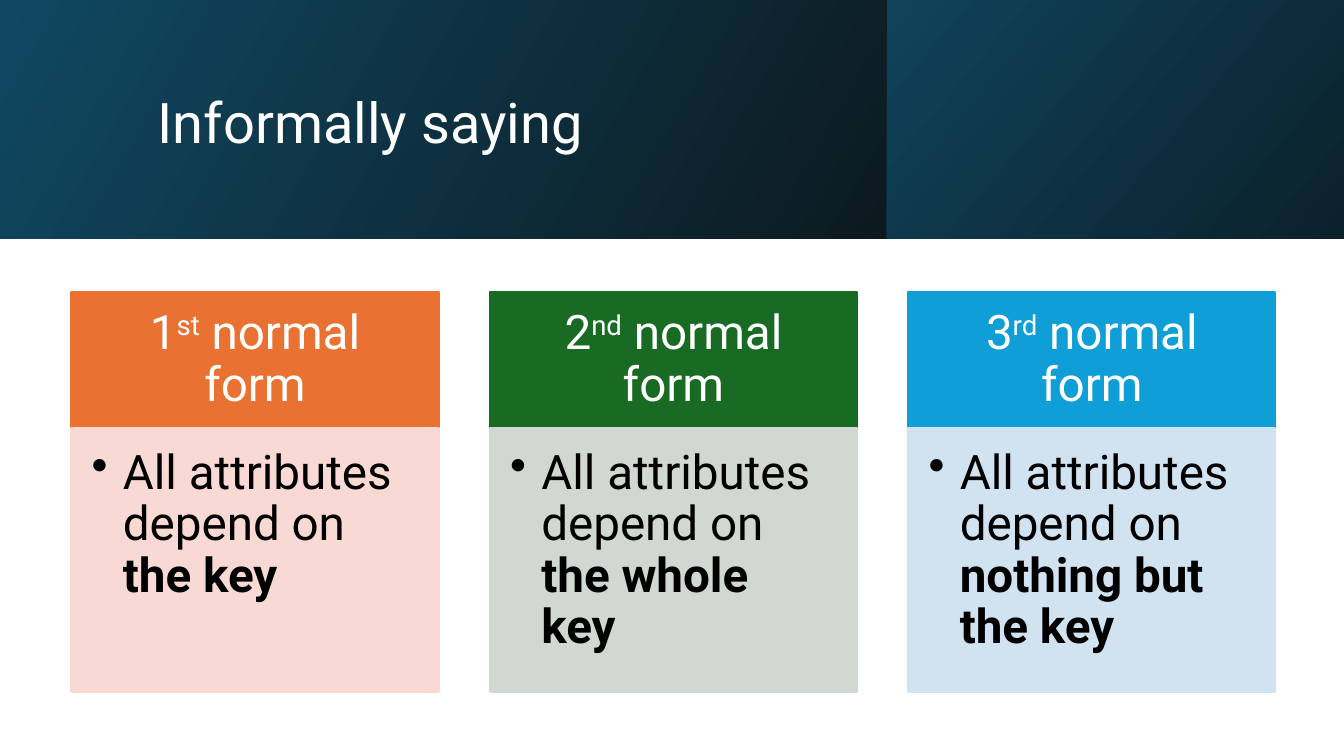
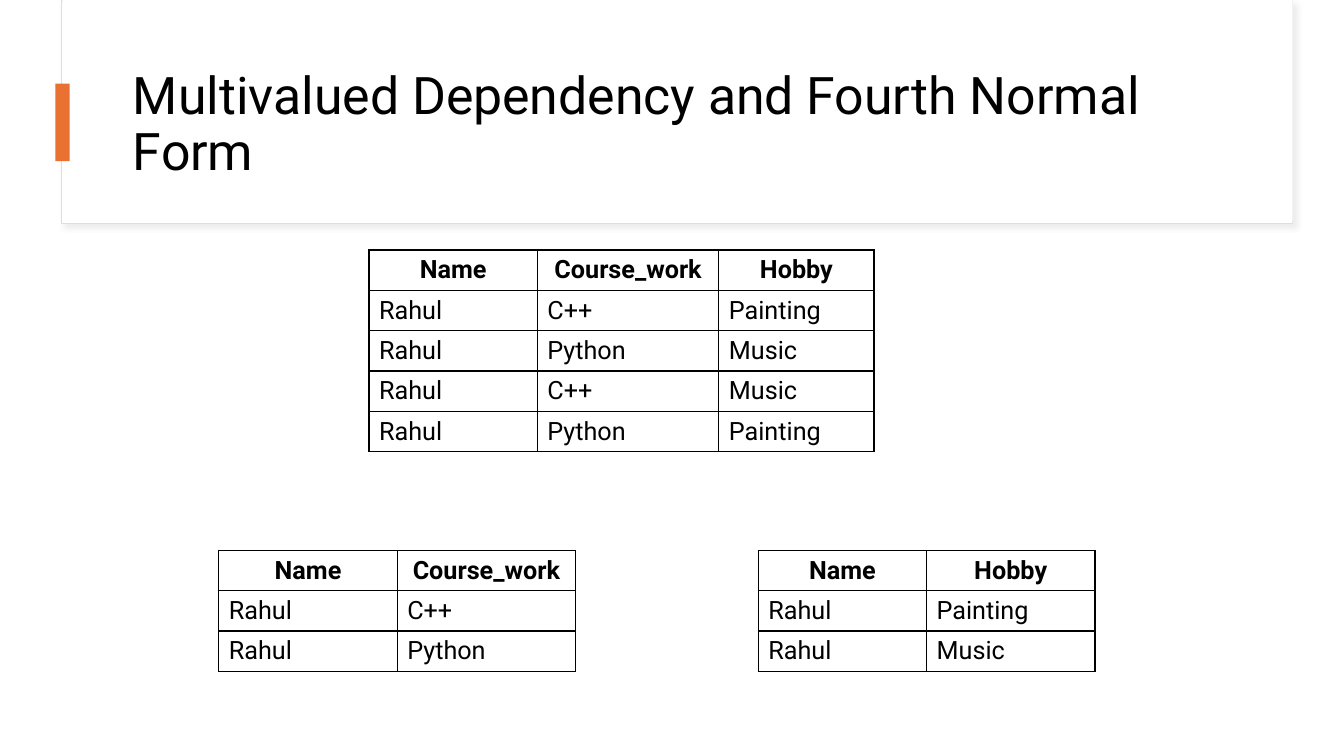
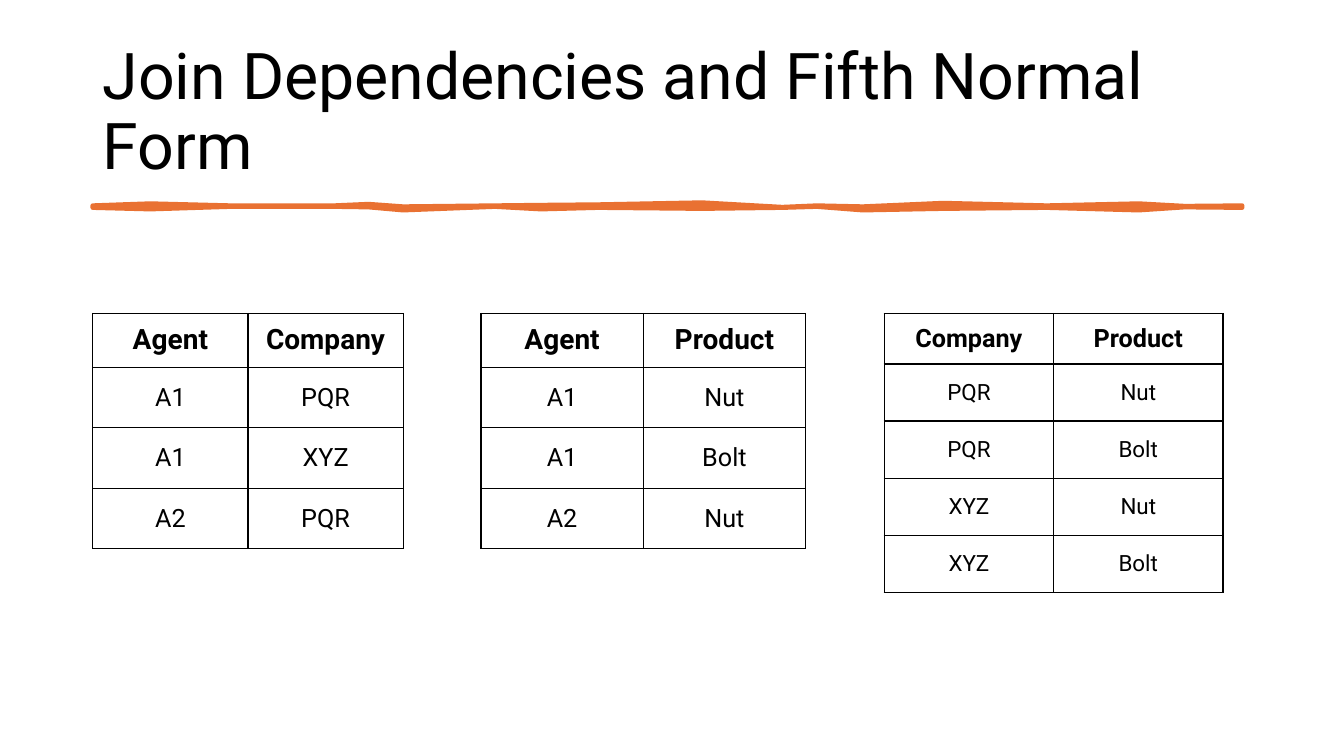
import collections

import pptx
import pptx.dml.color
import pptx.enum.shapes
import pptx.enum.text
import pptx.oxml
import pptx.oxml.ns
import pptx.util
from lxml import etree

Box = collections.namedtuple("Box", "left top width height")

SLIDE = Box(0, 0, 13.33, 7.5)
FONT = "Roboto"
BLACK, WHITE = "000000", "FFFFFF"
ORANGE, GREEN, BLUE = "E97132", "196B24", "0F9ED5"
TEXT_INSETS = (0.1, 0.05, 0.1, 0.05)
MIDDLE = pptx.enum.text.MSO_ANCHOR.MIDDLE
TOP = pptx.enum.text.MSO_ANCHOR.TOP
LEFT = pptx.enum.text.PP_ALIGN.LEFT
CENTER = pptx.enum.text.PP_ALIGN.CENTER


# Shared helpers
def color(value):
    return pptx.dml.color.RGBColor.from_string(value)


def inches(*lengths):
    return [pptx.util.Inches(length) for length in lengths]


def share(box, left, top, width, height):
    """Box placed inside another one by shares of its size."""
    return Box(box.left + left * box.width, box.top + top * box.height,
               width * box.width, height * box.height)


def columns(box, count, gap):
    width = (box.width - gap * (count - 1)) / count
    return [Box(box.left + i * (width + gap), box.top, width, box.height)
            for i in range(count)]


def add_element(parent, tag, **attributes):
    return etree.SubElement(parent, pptx.oxml.ns.qn(tag), attributes)


def add_rectangle(slide, box, fill, line=None, line_width=0.75):
    shape = slide.shapes.add_shape(
        pptx.enum.shapes.MSO_SHAPE.RECTANGLE, *inches(*box))
    shape.shadow.inherit = False
    paint(shape, fill, line, line_width)
    return shape


def paint(shape, fill, line=None, line_width=0.75):
    shape.fill.solid()
    shape.fill.fore_color.rgb = color(fill)
    if line:
        shape.line.color.rgb = color(line)
        shape.line.width = pptx.util.Pt(line_width)
    else:
        shape.line.fill.background()


def prepare_frame(frame, insets, anchor):
    frame.word_wrap = True
    frame.vertical_anchor = anchor
    (frame.margin_left, frame.margin_top,
     frame.margin_right, frame.margin_bottom) = inches(*insets)


def add_run(paragraph, text, size, text_color=BLACK, bold=False, raised=False):
    run = paragraph.add_run()
    run.text = text
    run.font.name = FONT
    run.font.size = pptx.util.Pt(size)
    run.font.bold = bold
    run.font.color.rgb = color(text_color)
    if raised:
        run.font._element.set("baseline", "30000")


def add_title(slide, box, text, size, text_color=BLACK):
    frame = slide.shapes.add_textbox(*inches(*box)).text_frame
    prepare_frame(frame, TEXT_INSETS, MIDDLE)
    paragraph = frame.paragraphs[0]
    paragraph.line_spacing = 0.9
    add_run(paragraph, text, size, text_color)


def add_slide(presentation):
    return presentation.slides.add_slide(presentation.slide_layouts[6])


# Tables
def outline_cell(cell):
    cell.fill.background()
    properties = cell._tc.get_or_add_tcPr()
    for position, side in enumerate(("a:lnL", "a:lnR", "a:lnT", "a:lnB")):
        line = add_element(properties, side, w="12700")
        fill = add_element(line, "a:solidFill")
        add_element(fill, "a:srgbClr", val=BLACK)
        properties.insert(position, line)


def add_grid(slide, left, top, widths, heights, rows, sizes,
             body_align=LEFT, insets=(TEXT_INSETS, TEXT_INSETS)):
    """Table with a bold header; heights, sizes and insets are (header, body)."""
    row_heights = [heights[0]] + [heights[1]] * (len(rows) - 1)
    box = Box(left, top, sum(widths), sum(row_heights))
    table = slide.shapes.add_table(len(rows), len(widths), *inches(*box)).table
    table.first_row = table.horz_banding = False
    for column, width in zip(table.columns, inches(*widths)):
        column.width = width
    for index, (row, height) in enumerate(zip(table.rows, inches(*row_heights))):
        row.height = height
        part = min(index, 1)
        for cell, text in zip(row.cells, rows[index]):
            outline_cell(cell)
            cell.vertical_anchor = MIDDLE
            (cell.margin_left, cell.margin_top,
             cell.margin_right, cell.margin_bottom) = inches(*insets[part])
            paragraph = cell.text_frame.paragraphs[0]
            paragraph.alignment = body_align if part else CENTER
            add_run(paragraph, text, sizes[part], bold=not part)


# Slide 1: gradient band and three cards
def add_gradient(slide, box, start, end, angle):
    shape = add_rectangle(slide, box, start)
    shape.fill.gradient()
    shape.fill.gradient_angle = angle
    for stop, position, value in zip(shape.fill.gradient_stops, (0, 1), (start, end)):
        stop.position = position
        stop.color.rgb = color(value)


def add_title_band(slide, box, title):
    add_gradient(slide, share(box, 0, 0, 0.66, 1), "104862", "0C1A20", 330)
    add_gradient(slide, share(box, 0.66, 0, 0.34, 1), "10435A", "0B212C", 320)
    add_title(slide, share(box, 0.11, 0.16, 0.8, 0.73), title, 40, WHITE)


def add_card(slide, box, number, suffix, ending, accent, tint):
    header_box = share(box, 0, 0, 1, 0.34)
    header = add_rectangle(slide, header_box, accent, accent, 1.5)
    prepare_frame(header.text_frame, (0.26, 0.15, 0.26, 0.15), MIDDLE)
    paragraph = header.text_frame.paragraphs[0]
    paragraph.alignment = CENTER
    paragraph.line_spacing = 0.9
    add_run(paragraph, number, 34, WHITE)
    add_run(paragraph, suffix, 34, WHITE, raised=True)
    add_run(paragraph, " normal form", 34, WHITE)

    body = add_rectangle(slide, share(box, 0, 0.34, 1, 0.66), tint, tint, 1.5)
    prepare_frame(body.text_frame, (0.2, 0.2, 0.26, 0.3), TOP)
    paragraph = body.text_frame.paragraphs[0]
    paragraph.alignment = LEFT
    paragraph.line_spacing = 0.9
    properties = paragraph._p.get_or_add_pPr()
    indent = pptx.util.Inches(0.31)
    properties.set("marL", str(indent))
    properties.set("indent", str(-indent))
    add_element(properties, "a:buChar", char="•")
    add_run(paragraph, "All attributes depend on ", 34)
    add_run(paragraph, ending, 34, bold=True)


def build_summary(presentation):
    slide = add_slide(presentation)
    add_title_band(slide, Box(0, 0, SLIDE.width, 2.37), "Informally saying")
    cards = [
        ("1", "st", "the key", ORANGE, "F8D9D3"),
        ("2", "nd", "the whole key", GREEN, "D1D8D2"),
        ("3", "rd", "nothing but the key", BLUE, "D1E2F1"),
    ]
    card_area = Box(0.71, 2.9, 11.94, 3.96)
    for box, card in zip(columns(card_area, len(cards), 0.51), cards):
        add_card(slide, box, *card)


# Slide 2: framed title and decomposed table
def add_title_panel(slide, box, title):
    frame = add_rectangle(slide, box, WHITE, "DEDEDE")
    effects = frame._element.spPr.find(pptx.oxml.ns.qn("a:effectLst"))
    shadow = add_element(effects, "a:outerShdw", blurRad="50800", dist="38100",
                         dir="2700000", algn="tl", rotWithShape="0")
    shade = add_element(shadow, "a:srgbClr", val="D9D9D9")
    add_element(shade, "a:alpha", val="50000")
    add_rectangle(slide, Box(box.left + 0.01, 0, box.width - 0.01, 2.2), WHITE)
    add_title(slide, share(box, 0.05, 0.27, 0.91, 0.58), title, 37)
    add_rectangle(slide, Box(box.left - 0.06, 0.83, 0.14, 0.77), ORANGE)


def build_fourth_form(presentation):
    slide = add_slide(presentation)
    add_title_panel(slide, Box(0.61, 0.01, 12.21, 2.21),
                    "Multivalued Dependency and Fourth Normal Form")
    tables = [
        (3.66, 2.48, (1.67, 1.8, 1.54), [
            ("Name", "Course_work", "Hobby"),
            ("Rahul", "C++", "Painting"),
            ("Rahul", "Python", "Music"),
            ("Rahul", "C++", "Music"),
            ("Rahul", "Python", "Painting")]),
        (2.17, 5.46, (1.77, 1.77), [
            ("Name", "Course_work"), ("Rahul", "C++"), ("Rahul", "Python")]),
        (7.52, 5.46, (1.67, 1.67), [
            ("Name", "Hobby"), ("Rahul", "Painting"), ("Rahul", "Music")]),
    ]
    for left, top, widths, rows in tables:
        add_grid(slide, left, top, widths, (0.39, 0.39), rows, (18, 18))


# Slide 3: hand-drawn rule and three tables
def add_brush_rule(slide, box):
    # Share of the width, then top and bottom edges as shares of the height
    profile = [
        (0, 0.4, 0.6), (0.05, 0.2, 0.75), (0.12, 0.4, 0.5), (0.21, 0.4, 0.5),
        (0.24, 0.25, 0.55), (0.27, 0.5, 0.85), (0.35, 0.4, 0.5),
        (0.39, 0.35, 0.75), (0.44, 0.3, 0.6), (0.53, 0.1, 0.7),
        (0.6, 0.55, 0.6), (0.63, 0.4, 0.5), (0.67, 0.5, 0.85),
        (0.74, 0.15, 0.7), (0.83, 0.4, 0.6), (0.91, 0.2, 0.85),
        (0.95, 0.45, 0.55), (1, 0.4, 0.6)]
    upper = [(x, top) for x, top, bottom in profile]
    lower = [(x, bottom) for x, top, bottom in reversed(profile)]
    points = [inches(box.left + x * box.width, box.top + y * box.height)
              for x, y in upper + lower]
    builder = slide.shapes.build_freeform(*points[0])
    builder.add_line_segments(points[1:], close=True)
    shape = builder.convert_to_shape()
    shape.shadow.inherit = False
    paint(shape, ORANGE, ORANGE, 3.25)
    add_element(shape.line._get_or_add_ln(), "a:round")


def build_fifth_form(presentation):
    slide = add_slide(presentation)
    add_title(slide, Box(0.92, 0.4, 11.5, 1.45),
              "Join Dependencies and Fifth Normal Form", 46)
    add_brush_rule(slide, Box(0.92, 2, 11.4, 0.1))
    tables = [
        (0.92, 1.54, (0.53, 0.59), (20, 18), [
            ("Agent", "Company"), ("A1", "PQR"), ("A1", "XYZ"), ("A2", "PQR")]),
        (4.77, 1.61, (0.53, 0.59), (20, 18), [
            ("Agent", "Product"), ("A1", "Nut"), ("A1", "Bolt"), ("A2", "Nut")]),
        (8.77, 1.68, (0.5, 0.55), (18, 16), [
            ("Company", "Product"), ("PQR", "Nut"), ("PQR", "Bolt"),
            ("XYZ", "Nut"), ("XYZ", "Bolt")]),
    ]
    insets = ((0.1, 0.1, 0.1, 0.1), (0.1, 0.15, 0.1, 0.15))
    for left, width, heights, sizes, rows in tables:
        add_grid(slide, left, 3.11, (width, width), heights, rows, sizes,
                 CENTER, insets)


def main():
    presentation = pptx.Presentation()
    presentation.slide_width, presentation.slide_height = inches(
        SLIDE.width, SLIDE.height)
    build_summary(presentation)
    build_fourth_form(presentation)
    build_fifth_form(presentation)
    presentation.save("out.pptx")


if __name__ == "__main__":
    main()
